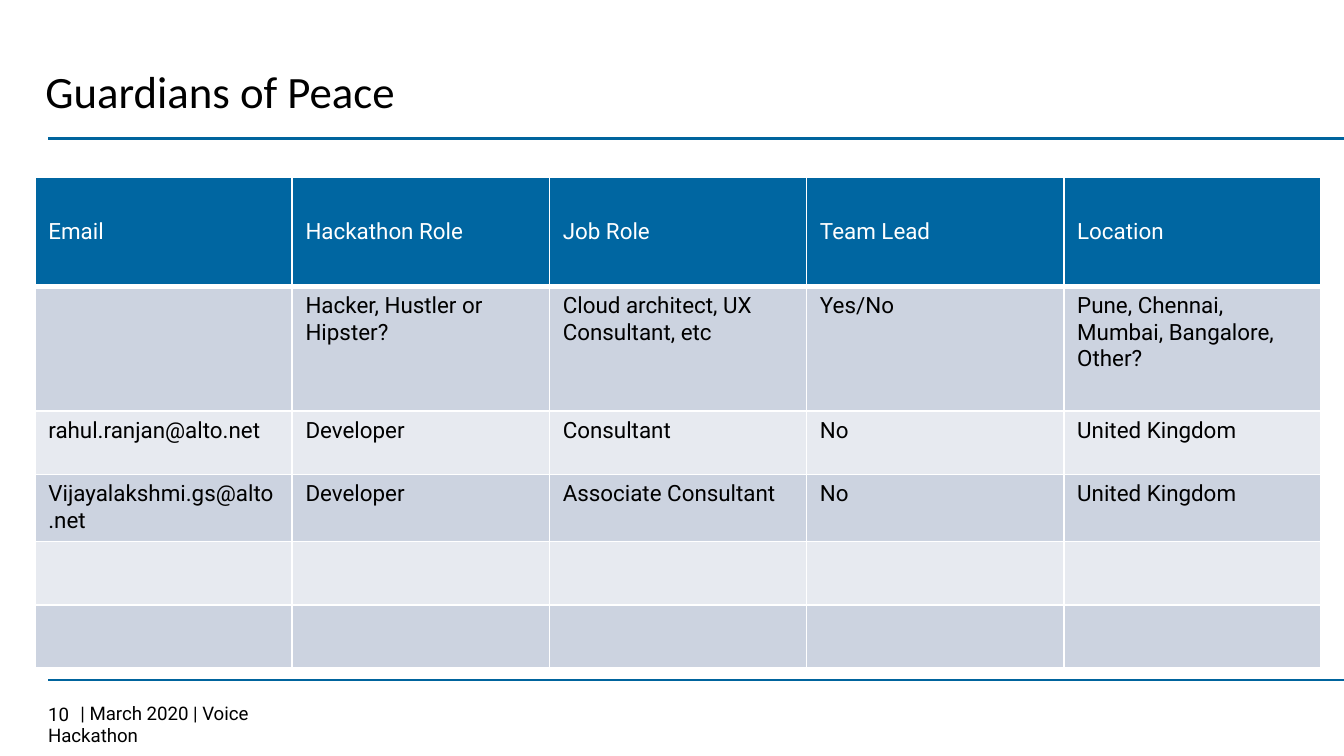
from dataclasses import dataclass

from lxml.etree import SubElement
from pptx import Presentation
from pptx.dml.color import RGBColor
from pptx.enum.shapes import MSO_CONNECTOR
from pptx.enum.text import MSO_ANCHOR
from pptx.oxml.ns import qn
from pptx.util import Inches, Pt


@dataclass(frozen=True)
class Theme:
    black: str = "000000"
    white: str = "FFFFFF"
    rule: str = "00649D"
    head: str = "0066A1"
    bands: tuple = ("CCD3E0", "E7EAF0")
    title: int = 24
    body: int = 12
    foot: int = 10
    font: str = "Roboto"
    display: str = "Calibri"


def write(frame, text, *, size, color, font, indent=0):
    para = frame.paragraphs[0]
    if indent:
        props = para._p.get_or_add_pPr()
        props.set("marL", "0")
        props.set("indent", str(Inches(indent)))
    run = para.add_run()
    run.text = text
    run.font.size = Pt(size)
    run.font.name = font
    run.font.color.rgb = RGBColor.from_string(color)


class Painter:
    def __init__(self, slide, theme):
        self.slide = slide
        self.theme = theme

    def label(self, text, left, top, width, height, anchor=MSO_ANCHOR.MIDDLE, **style):
        box = self.slide.shapes.add_textbox(
            Inches(left), Inches(top), Inches(width), Inches(height))
        frame = box.text_frame
        frame.word_wrap = True
        frame.vertical_anchor = anchor
        write(frame, text, color=self.theme.black, **style)

    def rule(self, left, right, top):
        line = self.slide.shapes.add_connector(
            MSO_CONNECTOR.STRAIGHT, Inches(left), Inches(top), Inches(right), Inches(top))
        line.line.color.rgb = RGBColor.from_string(self.theme.rule)
        line.line.width = Pt(1.25)
        SubElement(line._element.spPr, qn("a:effectLst"))

    def border(self, cell, **widths):
        props = cell._tc.get_or_add_tcPr()
        for side, width in widths.items():
            edge = SubElement(props, qn(f"a:ln{side}"), w=str(Pt(width)))
            fill = SubElement(edge, qn("a:solidFill"))
            SubElement(fill, qn("a:srgbClr"), val=self.theme.white)

    def table(self, rows, heights, left, top, width):
        theme = self.theme
        count = len(rows[0])
        grid = self.slide.shapes.add_table(
            len(rows), count, Inches(left), Inches(top),
            Inches(width), Inches(sum(heights))).table
        for column in grid.columns:
            column.width = Inches(width / count)
        for i, (row, height) in enumerate(zip(rows, heights)):
            grid.rows[i].height = Inches(height)
            header = i == 0
            shade = theme.head if header else theme.bands[(i - 1) % 2]
            for j, text in enumerate(row):
                cell = grid.cell(i, j)
                self.border(cell, L=1, R=1, T=3 if i == 1 else 1, B=3 if header else 1)
                cell.fill.solid()
                cell.fill.fore_color.rgb = RGBColor.from_string(shade)
                cell.vertical_anchor = MSO_ANCHOR.MIDDLE if header else MSO_ANCHOR.TOP
                if text:
                    write(cell.text_frame, text, size=theme.body, font=theme.font,
                          color=theme.white if header else theme.black)


def main():
    deck = Presentation()
    deck.slide_width = Inches(10)
    deck.slide_height = deck.slide_width * 9 // 16
    theme = Theme()
    page = Painter(deck.slides.add_slide(deck.slide_layouts[6]), theme)

    page.label("| March 2020 | Voice Hackathon", 0.26, 5.17, 2.35, 0.27,
               anchor=MSO_ANCHOR.TOP, size=theme.foot, font=theme.font, indent=0.24)
    for top in (5.06, 1.03):
        page.rule(0.36, 10, top)
    page.label("10", 0.26, 5.19, 0.49, 0.24, size=theme.foot, font=theme.font)
    page.label("Guardians of Peace", 0.24, 0.28, 9.57, 0.79,
               size=theme.title, font=theme.display)

    blank = ("",) * 5
    team = [
        ("Email", "Hackathon Role", "Job Role", "Team Lead", "Location"),
        ("", "Hacker, Hustler or Hipster?", "Cloud architect, UX Consultant, etc",
         "Yes/No", "Pune, Chennai, Mumbai, Bangalore, Other?"),
        ("rahul.ranjan@alto.net", "Developer", "Consultant", "No", "United Kingdom"),
        ("Vijayalakshmi.gs@alto.net", "Developer", "Associate Consultant", "No",
         "United Kingdom"),
        blank,
        blank,
    ]
    page.table(team, [0.81, 0.93] + [0.47] * 4, 0.26, 1.32, 9.57)
    deck.save("out.pptx")


if __name__ == "__main__":
    main()
